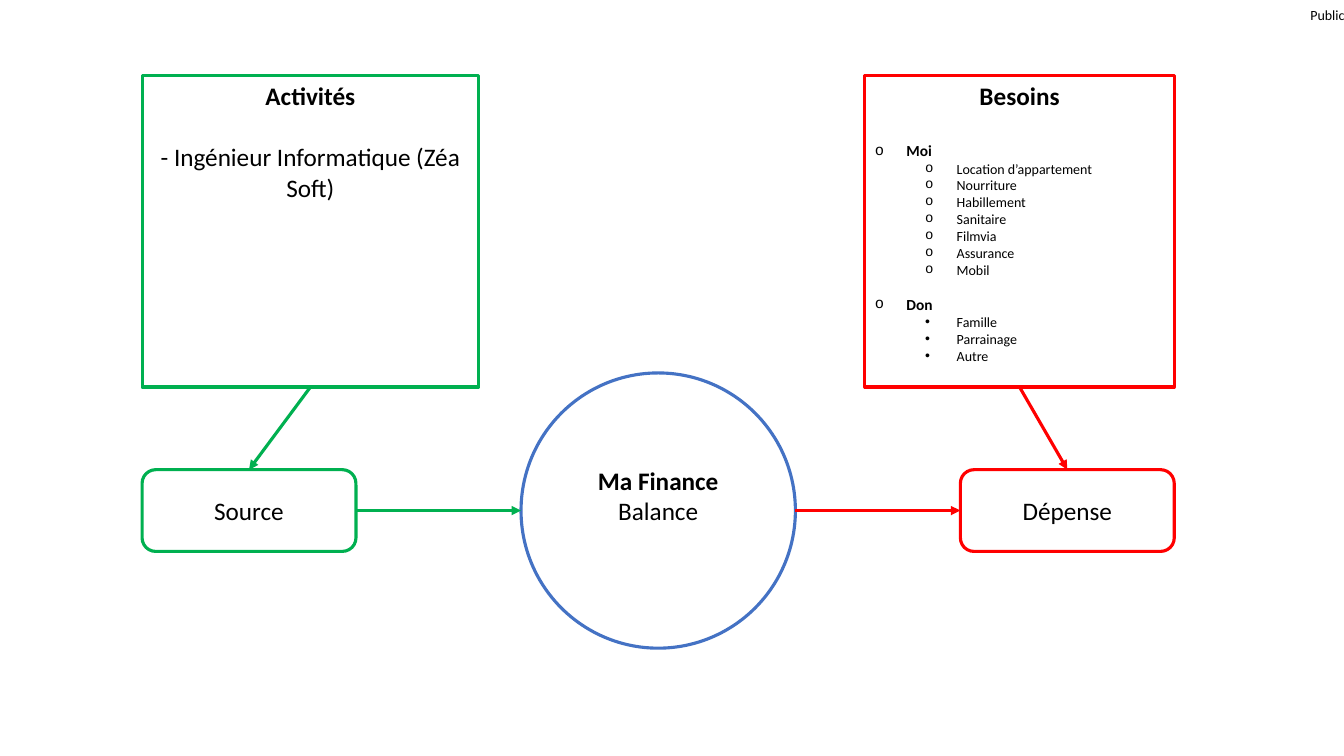
from lxml import etree
from pptx import Presentation
from pptx.dml.color import RGBColor
from pptx.enum.shapes import MSO_CONNECTOR, MSO_SHAPE
from pptx.enum.text import MSO_ANCHOR, PP_ALIGN
from pptx.oxml.ns import qn
from pptx.util import Pt

RECTANGLE = MSO_SHAPE.RECTANGLE
ROUNDED = MSO_SHAPE.ROUNDED_RECTANGLE
OVAL = MSO_SHAPE.OVAL
STRAIGHT = MSO_CONNECTOR.STRAIGHT
TOP, MIDDLE = MSO_ANCHOR.TOP, MSO_ANCHOR.MIDDLE
LEFT, CENTER, RIGHT = PP_ALIGN.LEFT, PP_ALIGN.CENTER, PP_ALIGN.RIGHT

GREEN, RED, BLUE = "00B050", "FF0000", "4472C4"
WHITE, BLACK = "FFFFFF", "000000"
LINE_WIDTH = 2.25
HANGING = 22.5

# Boxes: left, top, width, height in points
INCOME_PANEL = (101.5, 54, 240.5, 222.5)
NEEDS_PANEL = (617.8, 54, 221, 222.5)
SOURCE_BOX = (101.5, 335.5, 152.8, 58.4)
EXPENSE_BOX = (686, 335.5, 152.8, 58.4)
BALANCE_CIRCLE = (372.2, 266.4, 196, 196.6)
LABEL_BOX = (914.4, 0, 46, 21)

# Group title, gap before it, bullet character and font of its items, items
NEEDS = [
    ("Moi", 22, "o", "Courier New",
     ["Location d’appartement", "Nourriture", "Habillement", "Sanitaire",
      "Filmvia", "Assurance", "Mobil"]),
    ("Don", 12.2, "•", "Arial", ["Famille", "Parrainage", "Autre"]),
]


def color(hex_string):
    return RGBColor.from_string(hex_string)


def add_run(paragraph, text, size=18, bold=False):
    run = paragraph.add_run()
    run.text = text
    run.font.name = "Calibri"
    run.font.size = Pt(size)
    run.font.bold = bold
    run.font.color.rgb = color(BLACK)


def write(frame, text, first=False, align=CENTER, before=0, **format):
    paragraph = frame.paragraphs[0] if first else frame.add_paragraph()
    paragraph.alignment = align
    paragraph.space_before = Pt(before)
    add_run(paragraph, text, **format)
    return paragraph


def add_bullet(paragraph, character, font, indent):
    properties = paragraph._p.get_or_add_pPr()
    properties.set("marL", str(Pt(indent)))
    properties.set("indent", str(-Pt(HANGING)))
    etree.SubElement(properties, qn("a:buFont")).set("typeface", font)
    etree.SubElement(properties, qn("a:buChar")).set("char", character)


def add_box(slide, kind, box, line_color, anchor=MIDDLE):
    shape = slide.shapes.add_shape(kind, *map(Pt, box))
    shape.shadow.inherit = False
    shape.fill.solid()
    shape.fill.fore_color.rgb = color(WHITE)
    shape.line.color.rgb = color(line_color)
    shape.line.width = Pt(LINE_WIDTH)
    shape.text_frame.word_wrap = True
    shape.text_frame.vertical_anchor = anchor
    return shape.text_frame


def add_arrow(slide, start, end, line_color):
    connector = slide.shapes.add_connector(STRAIGHT, *map(Pt, start + end))
    connector.line.color.rgb = color(line_color)
    connector.line.width = Pt(LINE_WIDTH)
    line = connector.line._get_or_add_ln()
    etree.SubElement(line, qn("a:tailEnd")).set("type", "triangle")
    etree.SubElement(connector._element.spPr, qn("a:effectLst"))


def point(box, across, down):
    """Point at the given fractions of a box's width and height."""
    left, top, width, height = box
    return left + across * width, top + down * height


def add_label(slide, box):
    frame = slide.shapes.add_textbox(*map(Pt, box)).text_frame
    frame.margin_left = frame.margin_right = 0
    frame.margin_top = frame.margin_bottom = 0
    frame.word_wrap = False
    frame.vertical_anchor = MIDDLE
    write(frame, "Public", first=True, align=RIGHT, size=10)


def add_balance(slide, box):
    frame = add_box(slide, OVAL, box, BLUE)
    frame.margin_bottom = Pt(25.5)  # lifts the text by half a line
    paragraph = write(frame, "Ma Finance ", first=True, bold=True)
    add_run(paragraph, "Balance")


def add_income(slide, box):
    frame = add_box(slide, RECTANGLE, box, GREEN, TOP)
    write(frame, "Activités", first=True, bold=True)
    write(frame, "- Ingénieur Informatique (Zéa Soft)", before=22)


def add_needs(slide, box):
    frame = add_box(slide, RECTANGLE, box, RED, TOP)
    write(frame, "Besoins", first=True, bold=True)
    for title, gap, character, font, items in NEEDS:
        paragraph = write(frame, title, align=LEFT, before=gap, size=11,
                          bold=True)
        add_bullet(paragraph, "o", "Courier New", HANGING)
        for item in items:
            paragraph = write(frame, item, align=LEFT, size=10)
            paragraph.level = 1
            add_bullet(paragraph, character, font, HANGING + 36)


def add_flow(slide):
    # Boxes at both ends of the flow
    for text, box, line_color in (("Source", SOURCE_BOX, GREEN),
                                  ("Dépense", EXPENSE_BOX, RED)):
        write(add_box(slide, ROUNDED, box, line_color), text, first=True)
    # Arrows through the balance
    add_arrow(slide, point(SOURCE_BOX, 1, 0.5), point(BALANCE_CIRCLE, 0, 0.5),
              GREEN)
    add_arrow(slide, point(BALANCE_CIRCLE, 1, 0.5),
              point(EXPENSE_BOX, 0, 0.5), RED)
    # Arrows down from the panels
    for panel, box, line_color in ((INCOME_PANEL, SOURCE_BOX, GREEN),
                                   (NEEDS_PANEL, EXPENSE_BOX, RED)):
        add_arrow(slide, point(panel, 0.5, 1), point(box, 0.5, 0), line_color)


def main():
    presentation = Presentation()
    presentation.slide_width = Pt(960)
    presentation.slide_height = Pt(540)
    slide = presentation.slides.add_slide(presentation.slide_layouts[6])
    add_label(slide, LABEL_BOX)
    add_balance(slide, BALANCE_CIRCLE)
    add_income(slide, INCOME_PANEL)
    add_needs(slide, NEEDS_PANEL)
    add_flow(slide)
    presentation.save("out.pptx")


if __name__ == "__main__":
    main()
